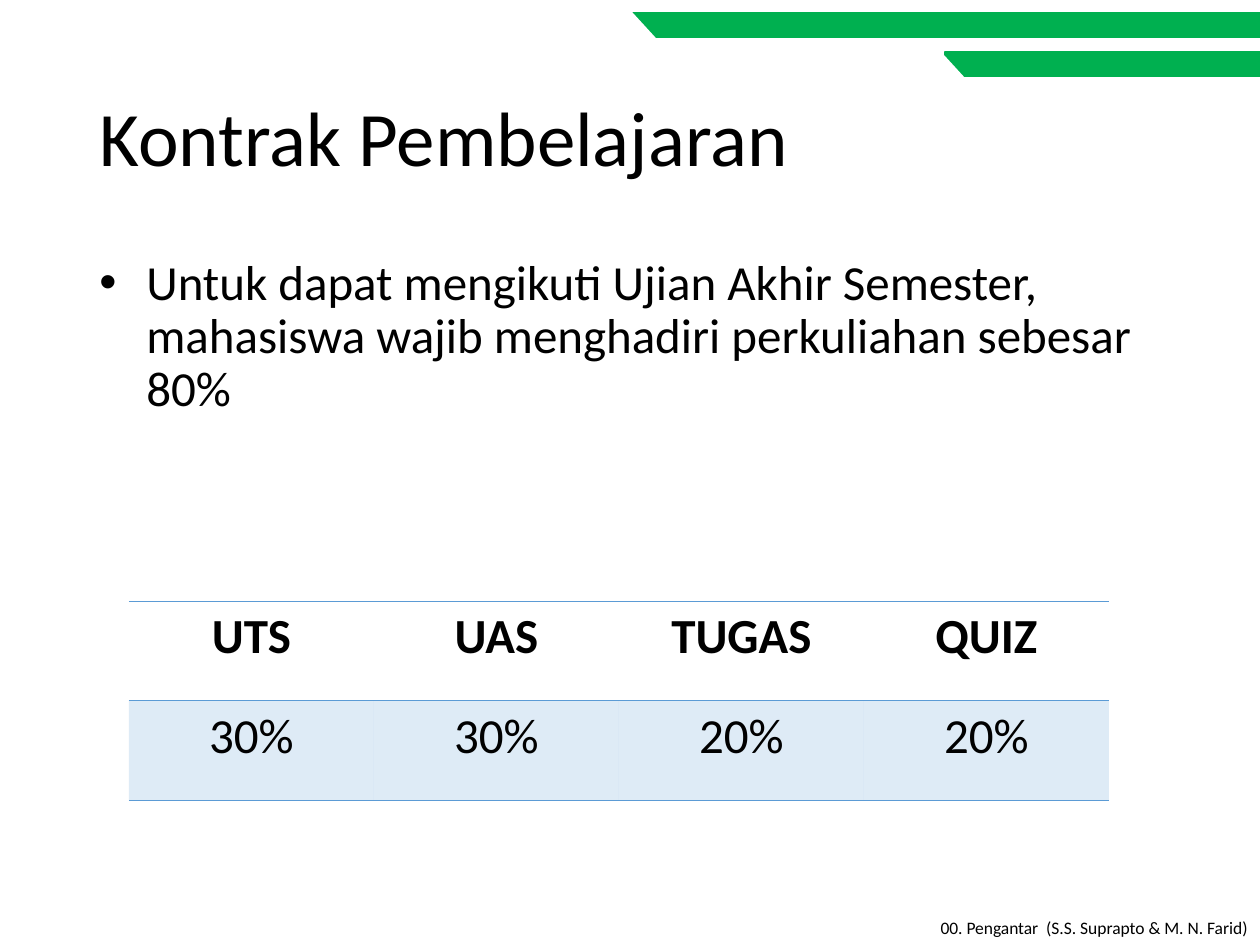
from lxml.etree import SubElement
from pptx import Presentation
from pptx.dml.color import RGBColor
from pptx.enum.shapes import MSO_SHAPE
from pptx.enum.text import MSO_ANCHOR, PP_ALIGN
from pptx.oxml import parse_xml
from pptx.oxml.ns import nsdecls, qn
from pptx.util import Emu, Pt

EMU_PER_PX = 914400 / 126


def px(n):
    return Emu(round(n * EMU_PER_PX))


def rgb(hex_color):
    return RGBColor.from_string(hex_color)


def write(tf, text, size, bold=False, align=PP_ALIGN.LEFT, spacing=0.9, before=0,
          color="000000", font="Calibri"):
    p = tf.paragraphs[0]
    p.alignment = align
    p.line_spacing = spacing
    p.space_before = Pt(before)
    r = p.add_run()
    r.text = text
    r.font.name = font
    r.font.size = Pt(size)
    r.font.bold = bold
    r.font.color.rgb = rgb(color)
    return p


def add_bullet(p, indent):
    pPr = p._p.get_or_add_pPr()
    pPr.set("marL", str(px(indent)))
    pPr.set("indent", str(px(-indent)))
    SubElement(pPr, qn("a:buFont"), typeface="Arial")
    SubElement(pPr, qn("a:buChar"), char="•")


def set_borders(cell, color, width):
    """Draw lines above and below the cell and none at its sides."""
    line = f'<a:solidFill><a:srgbClr val="{color}"/></a:solidFill>'
    sides = {"lnL": "<a:noFill/>", "lnR": "<a:noFill/>", "lnT": line, "lnB": line}
    tcPr = cell._tc.get_or_add_tcPr()
    for i, (side, fill) in enumerate(sides.items()):
        tcPr.insert(i, parse_xml(
            f'<a:{side} {nsdecls("a")} w="{Pt(width)}">{fill}</a:{side}>'))


class Deck:
    GREEN = "00B050"
    WHITE = "FFFFFF"
    BLUE = "5B9BD5"

    def __init__(self, width, height):
        self.prs = Presentation()
        self.prs.slide_width = px(width)
        self.prs.slide_height = px(height)
        self.s = self.prs.slides.add_slide(self.prs.slide_layouts[6])

    def text(self, x, y, w, h, text, size, anchor=MSO_ANCHOR.TOP, **style):
        tf = self.s.shapes.add_textbox(px(x), px(y), px(w), px(h)).text_frame
        tf.word_wrap = True
        tf.vertical_anchor = anchor
        return write(tf, text, size, **style)

    def shape(self, kind, x, y, w, h, color):
        sp = self.s.shapes.add_shape(kind, px(x), px(y), px(w), px(h))
        sp.shadow.inherit = False
        sp.fill.solid()
        sp.fill.fore_color.rgb = rgb(color)
        sp.line.color.rgb = rgb(color)
        sp.line.width = Pt(1)

    def table(self, x, y, w, h, rows):
        """Place a table with a bold header row and tinted body rows."""
        table = self.s.shapes.add_table(
            len(rows), len(rows[0]), px(x), px(y), px(w), px(h)).table
        table.horz_banding = False
        for i, row in enumerate(rows):
            for j, value in enumerate(row):
                cell = table.cell(i, j)
                write(cell.text_frame, value, 28, bold=i == 0,
                      align=PP_ALIGN.CENTER, spacing=0.98)
                if i == 0:
                    cell.fill.background()
                else:
                    cell.fill.solid()
                    cell.fill.fore_color.rgb = rgb(self.BLUE)
                    clr = cell._tc.tcPr.find(".//" + qn("a:srgbClr"))
                    SubElement(clr, qn("a:alpha"), val="20000")
                set_borders(cell, self.BLUE, 0.23)


def main():
    deck = Deck(1260, 945)
    deck.text(87, 50, 1087, 183, "Kontrak Pembelajaran", 44, anchor=MSO_ANCHOR.MIDDLE)
    rule = deck.text(
        87, 252, 1087, 600,
        "Untuk dapat mengikuti Ujian Akhir Semester, mahasiswa wajib "
        "menghadiri perkuliahan sebesar 80%", 28, before=5)
    add_bullet(rule, 47)
    deck.text(730, 906, 530, 39, "00. Pengantar  (S.S. Suprapto & M. N. Farid)", 10,
              anchor=MSO_ANCHOR.BOTTOM, align=PP_ALIGN.RIGHT)
    deck.table(129, 601, 980, 199, [["UTS", "UAS", "TUGAS", "QUIZ"],
                                    ["30%", "30%", "20%", "20%"]])
    for x, y in ((630, 13), (945, 52)):
        deck.shape(MSO_SHAPE.RECTANGLE, x, y, 1260 - x, 24, deck.GREEN)
    for x, y in ((630, 11), (941, 53)):
        deck.shape(MSO_SHAPE.RIGHT_TRIANGLE, x, y, 54, 59, deck.WHITE)
    deck.prs.save("out.pptx")


if __name__ == "__main__":
    main()
